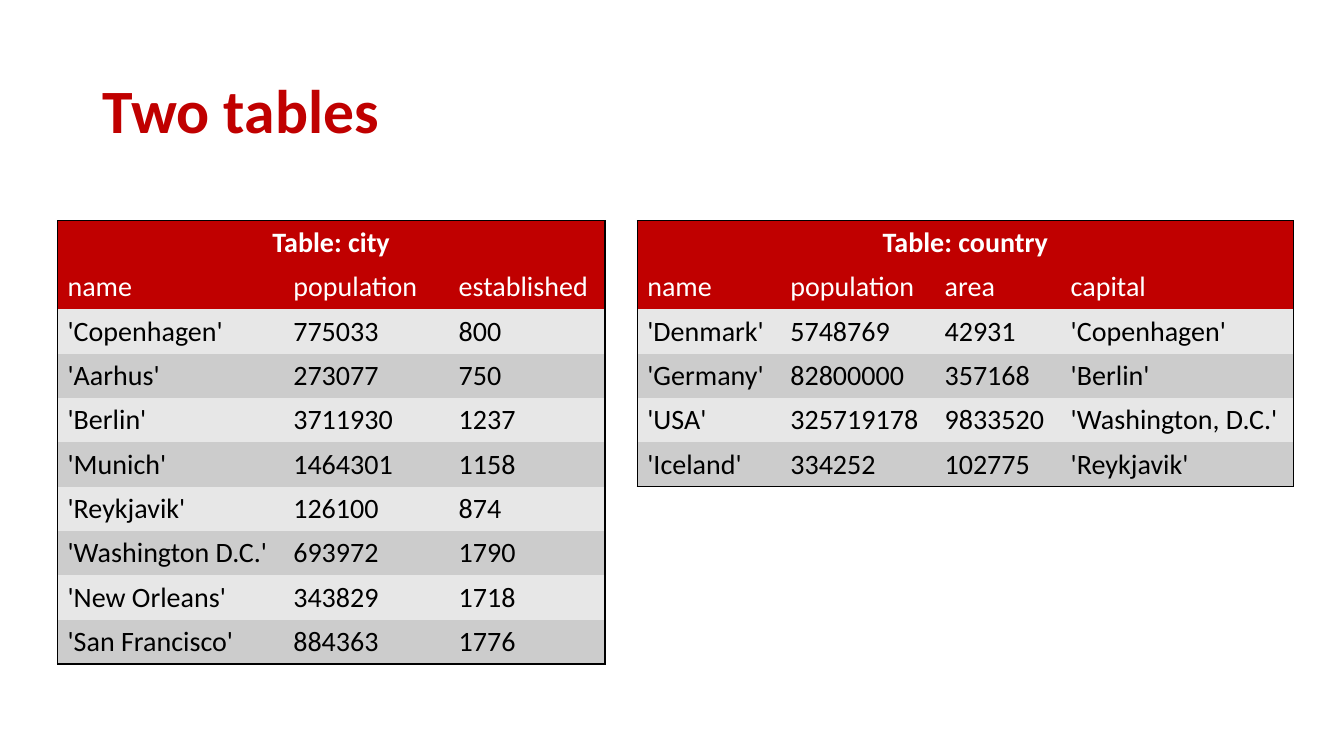
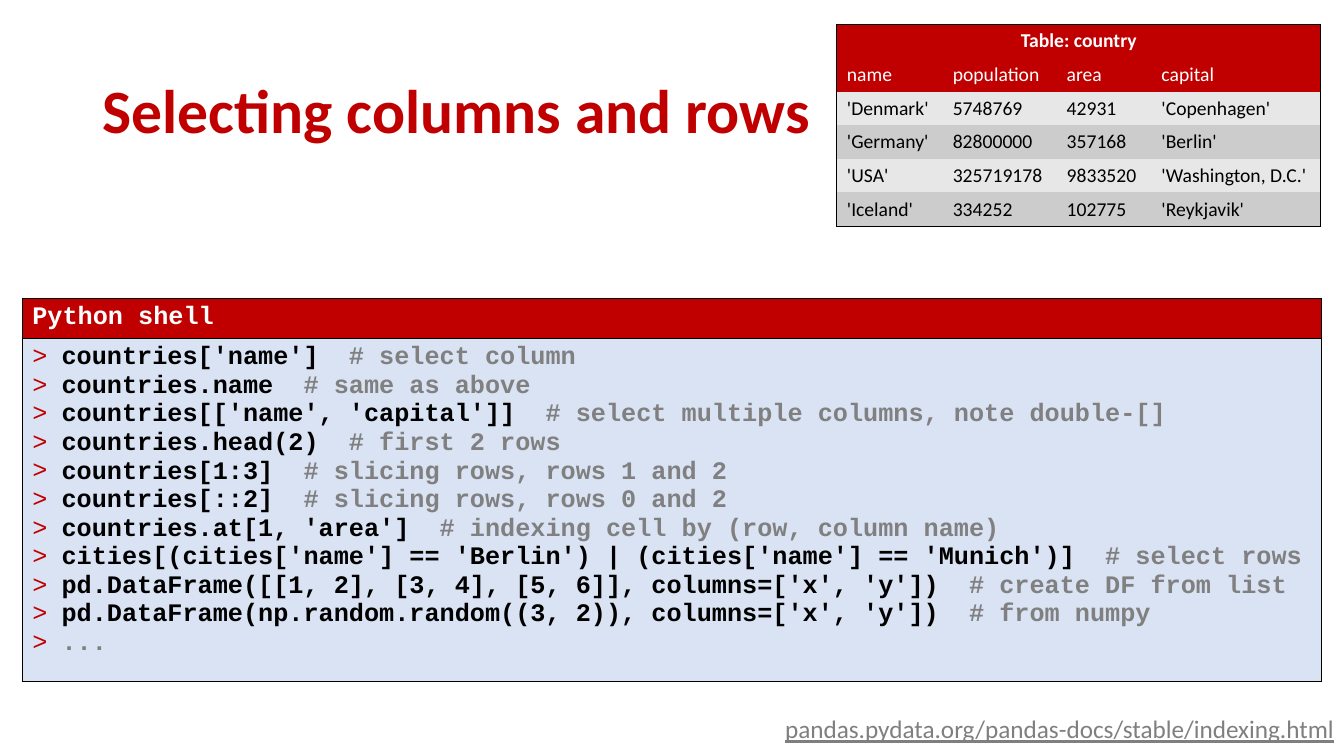
from lxml import etree
from pptx import Presentation
from pptx.dml.color import RGBColor
from pptx.enum.text import MSO_ANCHOR, PP_ALIGN
from pptx.oxml.ns import qn
from pptx.util import Inches, Pt

LEFT, CENTER, RIGHT = PP_ALIGN.LEFT, PP_ALIGN.CENTER, PP_ALIGN.RIGHT
MIDDLE = MSO_ANCHOR.MIDDLE

RED = RGBColor(0xC0, 0x00, 0x00)
WHITE = RGBColor(0xFF, 0xFF, 0xFF)
BLACK = RGBColor(0x00, 0x00, 0x00)
COMMENT_GRAY = RGBColor(0x80, 0x80, 0x80)
LINK_GRAY = RGBColor(0x7F, 0x7F, 0x7F)
BANDS = (RGBColor(0xE7, 0xE7, 0xE7), RGBColor(0xCC, 0xCC, 0xCC))
SHELL_BLUE = RGBColor(0xDA, 0xE3, 0xF3)

BODY_FONT, CODE_FONT = "Calibri", "Courier New"
NO_STYLE_NO_GRID = "{2D5ABB26-0587-4C30-8999-92F81FD0307C}"
SLIDE_WIDTH, SLIDE_HEIGHT = 13.33, 7.5

CITY = ("Table: city", [
    ("name", "population", "established"),
    ("'Copenhagen'", "775033", "800"),
    ("'Aarhus'", "273077", "750"),
    ("'Berlin'", "3711930", "1237"),
    ("'Munich'", "1464301", "1158"),
    ("'Reykjavik'", "126100", "874"),
    ("'Washington D.C.'", "693972", "1790"),
    ("'New Orleans'", "343829", "1718"),
    ("'San Francisco'", "884363", "1776"),
])
COUNTRY = ("Table: country", [
    ("name", "population", "area", "capital"),
    ("'Denmark'", "5748769", "42931", "'Copenhagen'"),
    ("'Germany'", "82800000", "357168", "'Berlin'"),
    ("'USA'", "325719178", "9833520", "'Washington, D.C.'"),
    ("'Iceland'", "334252", "102775", "'Reykjavik'"),
])
SHELL_TITLE = "Python shell"
SHELL_LINES = [
    ("countries['name']", "# select column"),
    ("countries.name", "# same as above"),
    ("countries[['name', 'capital']]", "# select multiple columns, note double-[]"),
    ("countries.head(2)", "# first 2 rows"),
    ("countries[1:3]", "# slicing rows, rows 1 and 2"),
    ("countries[::2]", "# slicing rows, rows 0 and 2"),
    ("countries.at[1, 'area']", "# indexing cell by (row, column name)"),
    ("cities[(cities['name'] == 'Berlin') | (cities['name'] == 'Munich')]",
     "# select rows"),
    ("pd.DataFrame([[1, 2], [3, 4], [5, 6]], columns=['x', 'y'])",
     "# create DF from list"),
    ("pd.DataFrame(np.random.random((3, 2)), columns=['x', 'y'])", "# from numpy"),
    ("", "..."),
]
DOCS_ADDRESS = "pandas.pydata.org/pandas-docs/stable/indexing.html"


def add_run(paragraph, text, size, color, font=BODY_FONT, bold=False, underline=None):
    run = paragraph.add_run()
    run.text = text
    run.font.size = Pt(size)
    run.font.name = font
    run.font.bold = bold
    run.font.underline = underline
    run.font.color.rgb = color


def add_text_line(slide, box, align=LEFT, anchor=None):
    """Add a one-paragraph text box and return its paragraph."""
    frame = slide.shapes.add_textbox(*map(Inches, box)).text_frame
    frame.word_wrap = True
    frame.vertical_anchor = anchor
    frame.paragraphs[0].alignment = align
    return frame.paragraphs[0]


def add_titled_slide(deck, title):
    slide = deck.slides.add_slide(deck.slide_layouts[6])
    paragraph = add_text_line(slide, (0.92, 0.4, 11.5, 1.45), anchor=MIDDLE)
    paragraph.line_spacing = 0.9
    add_run(paragraph, title, 44, RED, bold=True)
    return slide


def add_plain_table(slide, left, top, columns, rows):
    """Add an unstyled table with the given column widths and row heights."""
    frame = slide.shapes.add_table(len(rows), len(columns), Inches(left), Inches(top),
                                   Inches(sum(columns)), Inches(sum(rows)))
    table = frame.table
    table.first_row = table.horz_banding = False
    table._tbl.tblPr.find(qn("a:tableStyleId")).text = NO_STYLE_NO_GRID
    for column, width in zip(table.columns, columns):
        column.width = Inches(width)
    for row, height in zip(table.rows, rows):
        row.height = Inches(height)
    return table


def paint_cell(cell, fill, sides, line_width):
    """Fill a cell and draw black borders on the sides named by L, R, T and B."""
    properties = cell._tc.get_or_add_tcPr()
    for side in "LRTB":
        if side in sides:
            line = etree.SubElement(properties, qn("a:ln" + side), w=str(Pt(line_width)))
            solid = etree.SubElement(line, qn("a:solidFill"))
            etree.SubElement(solid, qn("a:srgbClr"), val=str(BLACK))
    cell.fill.solid()
    cell.fill.fore_color.rgb = fill


def add_data_table(slide, content, left, top, columns, row_height, size):
    caption, records = content
    rows = [(caption,) + ("",) * (len(columns) - 1)] + records
    table = add_plain_table(slide, left, top, columns, [row_height] * len(rows))
    table.cell(0, 0).merge(table.cell(0, len(columns) - 1))
    for r, values in enumerate(rows):
        for c, value in enumerate(values):
            cell = table.cell(r, c)
            edges = {"L": c == 0, "R": c == len(columns) - 1 or r == 0 == c,
                     "T": r == 0, "B": r == len(rows) - 1}
            is_header = r < 2
            paint_cell(cell, RED if is_header else BANDS[r % 2],
                       [side for side, outer in edges.items() if outer], 1)
            if value:
                paragraph = cell.text_frame.paragraphs[0]
                paragraph.alignment = CENTER if r == 0 else LEFT
                add_run(paragraph, value, size, WHITE if is_header else BLACK, bold=r == 0)


def add_prompt_bullet(paragraph):
    properties = paragraph._p.get_or_add_pPr()
    properties.set("marL", str(Inches(0.29)))
    properties.set("indent", str(-Inches(0.29)))
    color = etree.SubElement(properties, qn("a:buClr"))
    etree.SubElement(color, qn("a:srgbClr"), val=str(RED))
    etree.SubElement(properties, qn("a:buFont"), typeface=CODE_FONT)
    etree.SubElement(properties, qn("a:buChar"), char=">")


def add_shell(slide, left, top, width):
    table = add_plain_table(slide, left, top, [width], [0.38, 3.22])
    header, body = table.cell(0, 0), table.cell(1, 0)
    paint_cell(header, RED, "LRTB", 0.5)
    paint_cell(body, SHELL_BLUE, "LRTB", 0.5)
    add_run(header.text_frame.paragraphs[0], SHELL_TITLE, 18, WHITE, CODE_FONT, bold=True)
    for i, (code, comment) in enumerate(SHELL_LINES):
        frame = body.text_frame
        paragraph = frame.add_paragraph() if i else frame.paragraphs[0]
        add_prompt_bullet(paragraph)
        if code:
            add_run(paragraph, code + "  ", 18, BLACK, CODE_FONT, bold=True)
        add_run(paragraph, comment, 18, COMMENT_GRAY, CODE_FONT, bold=True)


def main():
    deck = Presentation()
    deck.slide_width, deck.slide_height = Inches(SLIDE_WIDTH), Inches(SLIDE_HEIGHT)

    tables = add_titled_slide(deck, "Two tables")
    add_data_table(tables, CITY, 0.57, 2.19, (2.24, 1.64, 1.55), 0.44, 20)
    add_data_table(tables, COUNTRY, 6.32, 2.19, (1.42, 1.53, 1.25, 2.31), 0.44, 20)

    selecting = add_titled_slide(deck, "Selecting columns and rows")
    add_data_table(selecting, COUNTRY, 8.3, 0.24, (1.05, 1.13, 0.94, 1.68), 0.33, 14)
    add_shell(selecting, 0.22, 2.96, 12.88)
    link = add_text_line(selecting, (7.41, 7.03, SLIDE_WIDTH - 7.41, 0.4), RIGHT)
    add_run(link, DOCS_ADDRESS, 18, LINK_GRAY, underline=True)

    deck.save("out.pptx")


if __name__ == "__main__":
    main()
